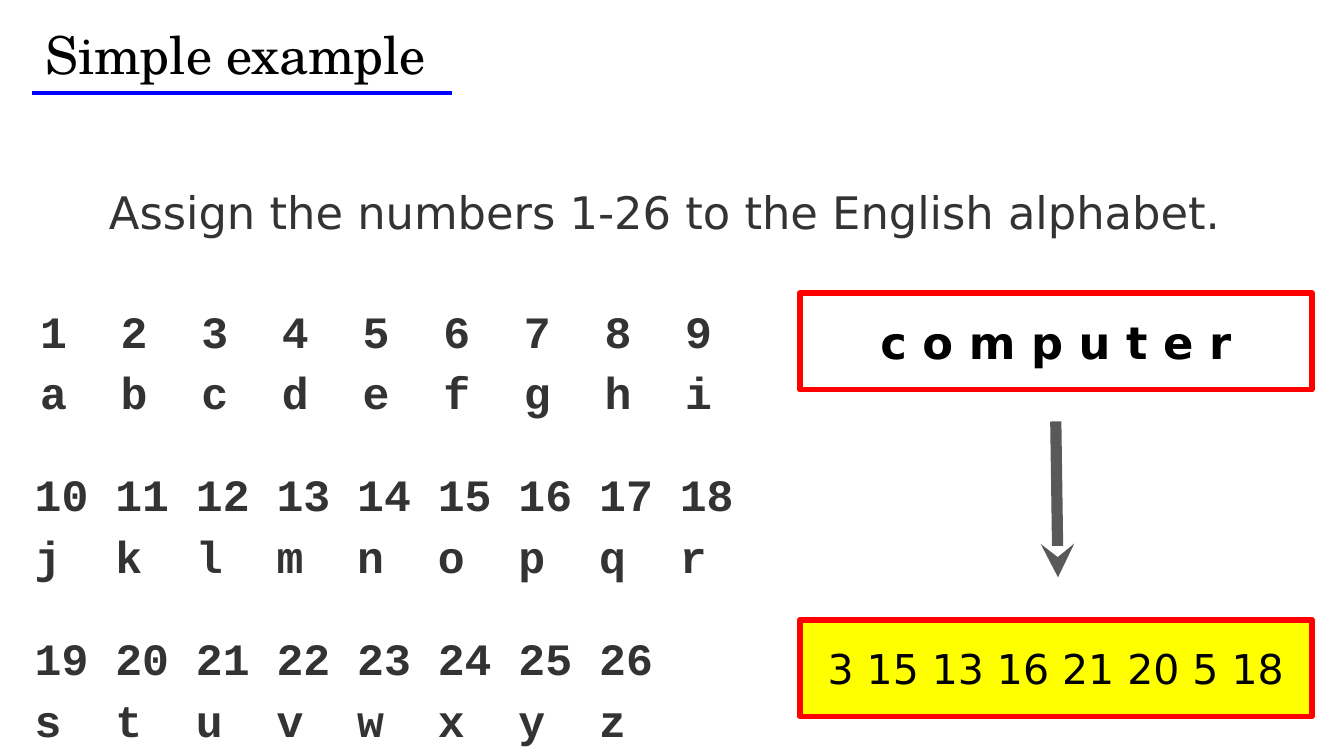
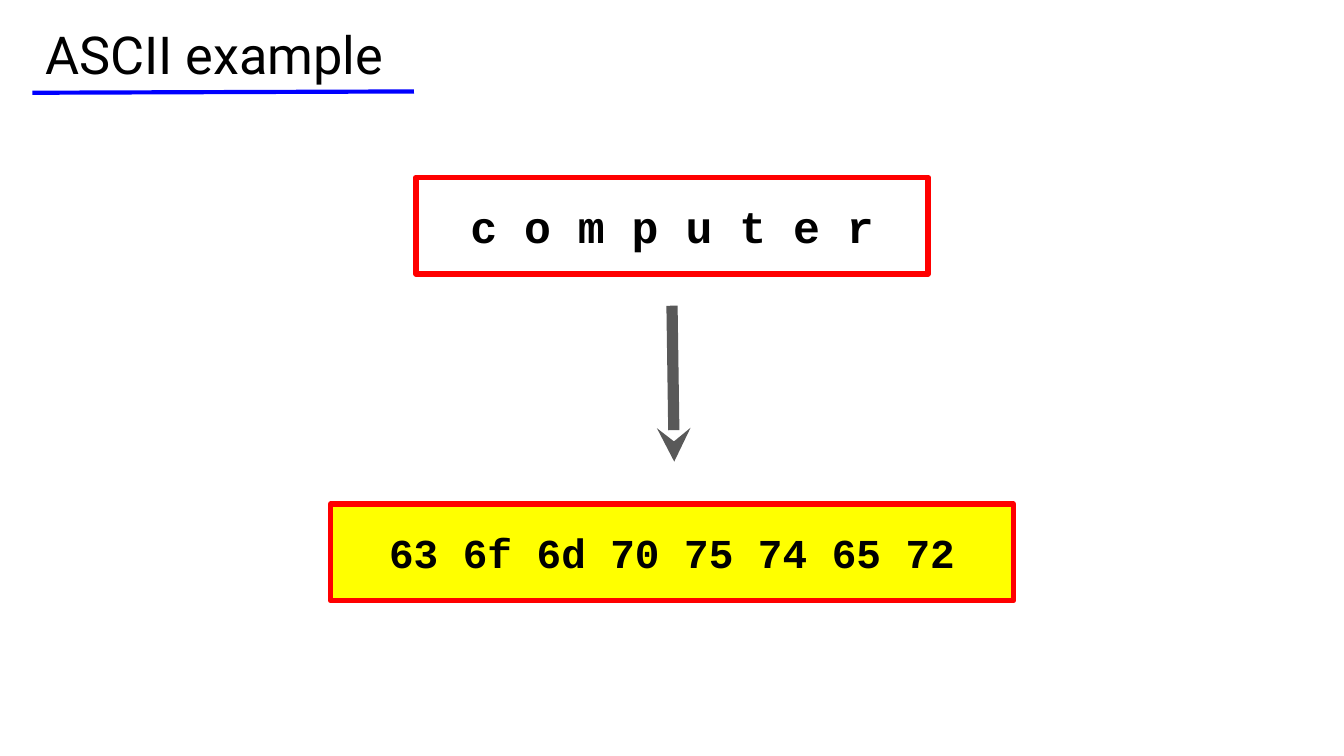
from lxml.etree import SubElement
from pptx import Presentation
from pptx.dml.color import RGBColor
from pptx.enum.shapes import MSO_CONNECTOR, MSO_SHAPE
from pptx.enum.text import MSO_ANCHOR, PP_ALIGN
from pptx.oxml.ns import qn
from pptx.util import Pt

color = RGBColor.from_string
BLACK, GRAY, ARROW_GRAY = "000000", "333333", "595959"
BLUE, RED, YELLOW, WHITE = "0000FF", "FF0000", "FFFF00", "FFFFFF"
SANS, MONO = "DejaVu Sans", "Courier New"
BOX_HEIGHT = 51.8
COLUMN_STEP = 43.2  # three monospaced characters at 24 pt


def write_text(shape, text, font=SANS, size=24, ink=BLACK, bold=False,
               align=PP_ALIGN.LEFT, spacing=1.0):
    """Fill the shape with one paragraph per line; tabs fall on the column grid."""
    frame = shape.text_frame
    frame.word_wrap = True
    frame.vertical_anchor = MSO_ANCHOR.MIDDLE
    frame.margin_left = frame.margin_right = Pt(7.2)
    frame.margin_top = frame.margin_bottom = Pt(7.2)
    for index, line in enumerate(text.split("\n")):
        paragraph = frame.add_paragraph() if index else frame.paragraphs[0]
        paragraph.alignment = align
        paragraph.line_spacing = spacing
        if "\t" in line:
            tabs = SubElement(paragraph._p.get_or_add_pPr(), qn("a:tabLst"))
            for column in range(1, line.count("\t") + 1):
                SubElement(tabs, qn("a:tab"), pos=str(Pt(COLUMN_STEP * column)), algn="l")
        run = paragraph.add_run()
        run.text = line
        run.font.name, run.font.size, run.font.bold = font, Pt(size), bold
        run.font.color.rgb = color(ink)


def draw_line(slide, start, end, ink, width, arrow=False):
    connector = slide.shapes.add_connector(
        MSO_CONNECTOR.STRAIGHT, *map(Pt, start + end))
    connector.line.color.rgb = color(ink)
    connector.line.width = Pt(width)
    if arrow:
        SubElement(connector.line._get_or_add_ln(), qn("a:tailEnd"), type="stealth")
    SubElement(connector._element.spPr, qn("a:effectLst"))


presentation = Presentation()
presentation.slide_width = Pt(720)
presentation.slide_height = Pt(405)

# title, title font, end of its underline, centre and top of the encoding diagram,
# font of the boxes, code, width of the code box, bold code
examples = [
    ("Simple example", "TeX Gyre Schola", (242, 49.7), 565.6, 157,
     SANS, "3 15 13 16 21 20 5 18", 274.3, False),
    ("ASCII example", "Roboto", (221.8, 49), 360, 95,
     MONO, "63 6f 6d 70 75 74 65 72", 365.8, True),
]
for title, title_font, underline_end, center, top, font, code, code_width, bold in examples:
    slide = presentation.slides.add_slide(presentation.slide_layouts[6])
    title_box = slide.shapes.add_textbox(Pt(17.3), Pt(8), Pt(686), Pt(41))
    write_text(title_box, title, font=title_font, size=28)
    draw_line(slide, (17.3, 49.7), underline_end, BLUE, 2.25)

    boxes = [
        ("c o m p u t e r", top, 274.3, WHITE, 24, True),
        (code, top + 175, code_width, YELLOW, 22, bold),
    ]
    for text, box_top, width, fill, size, box_bold in boxes:
        box = slide.shapes.add_shape(
            MSO_SHAPE.RECTANGLE, Pt(center - width / 2), Pt(box_top),
            Pt(width), Pt(BOX_HEIGHT))
        box.shadow.inherit = False
        box.fill.solid()
        box.fill.fore_color.rgb = color(fill)
        box.line.color.rgb = color(RED)
        box.line.width = Pt(3)
        write_text(box, text, font=font, size=size, bold=box_bold, align=PP_ALIGN.CENTER)
    draw_line(slide, (center, top + 68.8), (center + 1.2, top + 152.3),
              ARROW_GRAY, 6, arrow=True)

# Alphabet table of the simple example
slide = presentation.slides[0]
instruction = slide.shapes.add_textbox(Pt(0), Pt(77), Pt(720), Pt(68.4))
write_text(instruction, "Assign the numbers 1-26 to the English alphabet. ",
           ink=GRAY, align=PP_ALIGN.CENTER, spacing=1.15)

alphabet = "abcdefghijklmnopqrstuvwxyz"
for row, left in enumerate((14.4, 11.5, 11.5)):
    first = 9 * row
    letters = alphabet[first:first + 9]
    numbers = [str(first + position) for position in range(1, len(letters) + 1)]
    letter_rows = slide.shapes.add_textbox(
        Pt(left), Pt(157 + 87.85 * row), Pt(396), Pt(68.4))
    write_text(letter_rows, "\t".join(numbers) + "\n" + "\t".join(letters),
               font=MONO, ink=GRAY, bold=True, spacing=1.15)

presentation.save("out.pptx")
